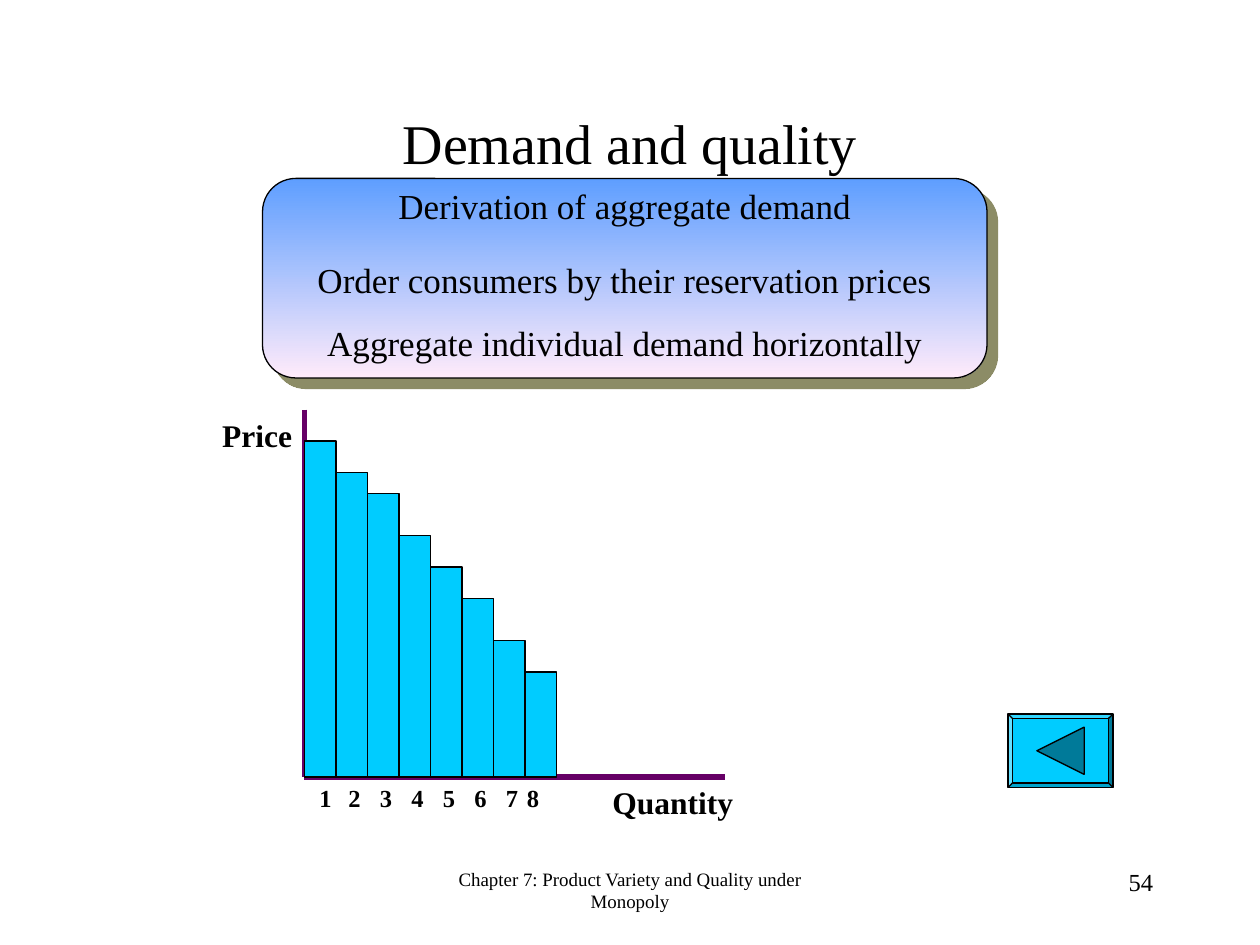
from dataclasses import dataclass

from lxml.etree import SubElement
from pptx import Presentation
from pptx.dml.color import RGBColor
from pptx.enum.shapes import MSO_CONNECTOR as Connector, MSO_SHAPE as Preset
from pptx.enum.text import MSO_ANCHOR as Anchor, PP_ALIGN as Align
from pptx.oxml.ns import qn
from pptx.shapes.autoshape import Shape
from pptx.slide import Slide
from pptx.util import Pt

EMU_PER_PX = 9525
FONT = "Times New Roman"
COLORS = {
    "text": "000000", "outline": "000000", "axis": "660066", "bar": "00CCFF",
    "panel_top": "5E9EFF", "panel_bottom": "FFEBFA", "shadow": "666633",
    "arrow": "007A99",
}
ORIGIN_X, BASELINE = 232, 592
BAR_WIDTH = 24
BAR_HEIGHTS = (256, 232, 216, 184, 160, 136, 104, 80)


@dataclass(frozen=True)
class Box:
    left: int
    top: int
    width: int
    height: int

    def emu(self) -> list[int]:
        return [px(v) for v in (self.left, self.top, self.width, self.height)]


@dataclass(frozen=True)
class Label:
    text: str
    box: Box
    size: float
    align: Align = Align.CENTER
    bold: bool = False
    anchor: Anchor = Anchor.TOP


def px(value: int) -> int:
    return value * EMU_PER_PX


def color(name: str) -> RGBColor:
    return RGBColor.from_string(COLORS[name])


def apply(target: object, values: dict) -> None:
    for name, value in values.items():
        setattr(target, name, value)


def add_label(slide: Slide, label: Label) -> None:
    frame = slide.shapes.add_textbox(*label.box.emu()).text_frame
    apply(frame, {"word_wrap": True, "vertical_anchor": label.anchor})
    paragraph = frame.paragraphs[0]
    apply(paragraph, {"text": label.text, "alignment": label.align})
    font = paragraph.runs[0].font
    apply(font, {"name": FONT, "size": Pt(label.size), "bold": label.bold})
    font.color.rgb = color("text")


def outline(shape: Shape) -> None:
    shape.shadow.inherit = False
    shape.line.width = Pt(0.75)
    shape.line.color.rgb = color("outline")


def paint(shape: Shape, fill: str) -> None:
    shape.fill.solid()
    shape.fill.fore_color.rgb = color(fill)
    outline(shape)


def add_preset(slide: Slide, preset: Preset, box: Box, fill: str) -> Shape:
    shape = slide.shapes.add_shape(preset, *box.emu())
    paint(shape, fill)
    return shape


def add_panel(slide: Slide, box: Box) -> None:
    """Rounded panel with a vertical gradient and a hard offset shadow."""
    panel = slide.shapes.add_shape(Preset.ROUNDED_RECTANGLE, *box.emu())
    panel.adjustments[0] = 0.167
    panel.fill.gradient()
    panel.fill.gradient_angle = 270
    for stop, name in zip(panel.fill.gradient_stops, ("panel_top", "panel_bottom")):
        stop.color.rgb = color(name)
    outline(panel)
    effects = panel._element.spPr.find(qn("a:effectLst"))
    shadow = SubElement(effects, qn("a:outerShdw"), blurRad="0", dist=str(Pt(8.5)),
                        dir="2700000", algn="tl", rotWithShape="0")
    tint = SubElement(shadow, qn("a:srgbClr"), val=COLORS["shadow"])
    SubElement(tint, qn("a:alpha"), val="75000")


def add_axis(slide: Slide, start: tuple[int, int], end: tuple[int, int]) -> None:
    axis = slide.shapes.add_connector(Connector.STRAIGHT, *map(px, start + end))
    axis.line.width = Pt(3)
    axis.line.color.rgb = color("axis")
    SubElement(axis._element.spPr, qn("a:effectLst"))


def add_back_button(slide: Slide, box: Box) -> None:
    button = add_preset(slide, Preset.BEVEL, box, "bar")
    button.adjustments[0] = 0.06
    middle_x = box.left + box.width // 2
    middle_y = box.top + box.height // 2
    reach = 18
    builder = slide.shapes.build_freeform(middle_x - reach, middle_y, scale=EMU_PER_PX)
    builder.add_line_segments([(middle_x + reach, middle_y - reach),
                               (middle_x + reach, middle_y + reach)], close=True)
    paint(builder.convert_to_shape(), "arrow")


def add_demand_bars(slide: Slide) -> None:
    for index, height in enumerate(BAR_HEIGHTS):
        left = ORIGIN_X + index * BAR_WIDTH
        add_preset(slide, Preset.RECTANGLE,
                   Box(left, BASELINE - height, BAR_WIDTH, height), "bar")
    last = len(BAR_HEIGHTS) - 1
    for index in range(len(BAR_HEIGHTS)):
        left = ORIGIN_X + index * BAR_WIDTH - (8 if index == last else 0)
        add_label(slide, Label(str(index + 1), Box(left, BASELINE, 32, 33), 14,
                               Align.LEFT if index else Align.CENTER, bold=True))


def main() -> None:
    presentation = Presentation()
    apply(presentation, {"slide_width": px(960), "slide_height": px(720)})
    slide = presentation.slides.add_slide(presentation.slide_layouts[6])

    for label in (
        Label("Chapter 7: Product Variety and Quality under Monopoly",
              Box(328, 656, 304, 48), 10.8),
        Label("54", Box(688, 656, 200, 48), 14, Align.RIGHT),
        Label("Demand and quality", Box(72, 64, 816, 88), 32, anchor=Anchor.MIDDLE),
    ):
        add_label(slide, label)

    add_panel(slide, Box(200, 136, 552, 152))
    for text, top in (
        ("Derivation of aggregate demand", 136),
        ("Order consumers by their reservation prices", 192),
        ("Aggregate individual demand horizontally", 240),
    ):
        add_label(slide, Label(text, Box(208, top, 536, 42), 20))

    add_axis(slide, (ORIGIN_X, 312), (ORIGIN_X, BASELINE))
    add_axis(slide, (ORIGIN_X, BASELINE), (552, BASELINE))
    add_label(slide, Label("Price", Box(152, 312, 80, 38), 18, Align.RIGHT, bold=True))
    add_label(slide, Label("Quantity", Box(440, BASELINE, 128, 38), 18,
                           Align.RIGHT, bold=True))
    add_demand_bars(slide)
    add_back_button(slide, Box(768, 544, 80, 56))
    presentation.save("out.pptx")


if __name__ == "__main__":
    main()
